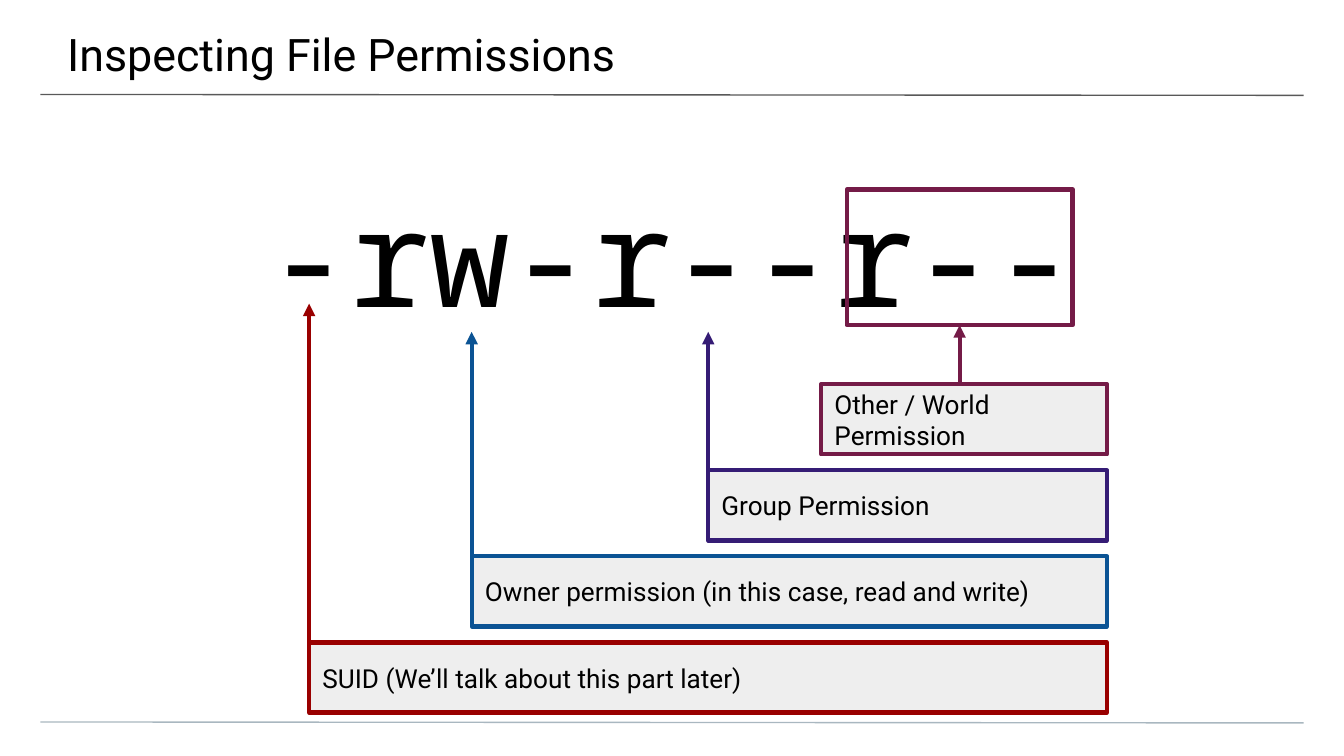
from lxml.etree import SubElement
from pptx import Presentation
from pptx.dml.color import RGBColor
from pptx.enum.shapes import MSO_CONNECTOR as CONN, MSO_SHAPE as SHAPE
from pptx.enum.text import MSO_ANCHOR as ANCHOR, PP_ALIGN as ALIGN
from pptx.oxml.ns import qn
from pptx.util import Pt

COLORS = {
    "text": "000000", "rule": "595959", "footer": "A9B7C0",
    "fill": "EEEEEE", "suid": "990000", "owner": "0B5394",
    "group": "351C75", "other": "741B47",
}
LABELS = [
    ("other", "Other / World Permission", 439.9, None),
    ("group", "Group Permission", 379.4, 177.8),
    ("owner", "Owner permission (in this case, read and write)", 252.7, 177.8),
    ("suid", "SUID (We’ll talk about this part later)", 165.6, 162.7),
]


def rgb(name):
    """Return the named colour."""
    return RGBColor.from_string(COLORS[name])


def write(sp, text, size, font="Roboto", align=ALIGN.LEFT,
          anchor=ANCHOR.TOP, insets=(7.2, 7.2, 7.2, 7.2)):
    """Put one styled paragraph in a shape."""
    tf = sp.text_frame
    tf.word_wrap = True
    tf.vertical_anchor = anchor
    tf.margin_left, tf.margin_top, tf.margin_right, tf.margin_bottom = map(Pt, insets)
    p = tf.paragraphs[0]
    p.text = text
    p.alignment = align
    p.font.name, p.font.size = font, Pt(size)
    p.font.color.rgb = rgb("text")


def add_line(s, x1, y1, x2, y2, color, width=0.75, arrow=False):
    """Draw a straight line, optionally with an arrowhead at its end."""
    line = s.shapes.add_connector(CONN.STRAIGHT, Pt(x1), Pt(y1), Pt(x2), Pt(y2))
    line.line.color.rgb = rgb(color)
    line.line.width = Pt(width)
    if arrow:
        SubElement(line.line._get_or_add_ln(), qn("a:tailEnd"), type="triangle")
    SubElement(line._element.spPr, qn("a:effectLst"))
    return line


def add_box(s, left, top, width, height, color, filled=True):
    """Draw an outlined rectangle."""
    sp = s.shapes.add_shape(SHAPE.RECTANGLE, Pt(left), Pt(top), Pt(width), Pt(height))
    sp.shadow.inherit = False
    if filled:
        sp.fill.solid()
        sp.fill.fore_color.rgb = rgb("fill")
    else:
        sp.fill.background()
    sp.line.color.rgb = rgb(color)
    sp.line.width = Pt(2.25)
    return sp


def add_frame(s, left, top, width, height):
    """Draw the title and the rules above and below the content."""
    for y, color in ((50.6, "rule"), (386.8, "footer")):
        add_line(s, left + 21.6, top + y, left + width - 21.6, top + y + 0.5, color)
    title = s.shapes.add_textbox(Pt(left), Pt(top), Pt(width), Pt(height))
    write(title, "Inspecting File Permissions", 24, insets=(36, 14.4, 21.6, 7.2))


def add_mode(s, left, top, width, height):
    """Write the mode string and frame its last three characters."""
    mode = s.shapes.add_textbox(Pt(left), Pt(top), Pt(width), Pt(height))
    write(mode, "-rw-r--r--", 72, "Noto Sans Mono", ALIGN.CENTER)
    return add_box(s, left + 326.2, top + 15.8, 121, 72.7, "other", filled=False)


def add_labels(s, top, right, height, pitch, frame):
    """Stack the labels and point each at its part of the mode string."""
    for i, (color, text, left, tip) in enumerate(LABELS):
        y = top + i * pitch
        if tip is None:
            x = (frame.left + frame.width / 2) / Pt(1)
            arrow = add_line(s, x, y, x, y - 31, color, 2.25, True)
            arrow.end_connect(frame, 2)
        else:
            add_line(s, left, y, left, tip, color, 2.25, True)
        box = add_box(s, left, y, right - left, height, color)
        write(box, text, 14, anchor=ANCHOR.MIDDLE)


def main():
    """Build and save the slide."""
    prs = Presentation()
    prs.slide_width, prs.slide_height = Pt(720), Pt(405)
    s = prs.slides.add_slide(prs.slide_layouts[6])
    add_frame(s, 0, 0, 720, 41.8)
    frame = add_mode(s, 127.4, 85.7, 465.1, 88.6)
    add_labels(s, 205.9, 593, 37.6, 46.1, frame)
    prs.save("out.pptx")


if __name__ == "__main__":
    main()
